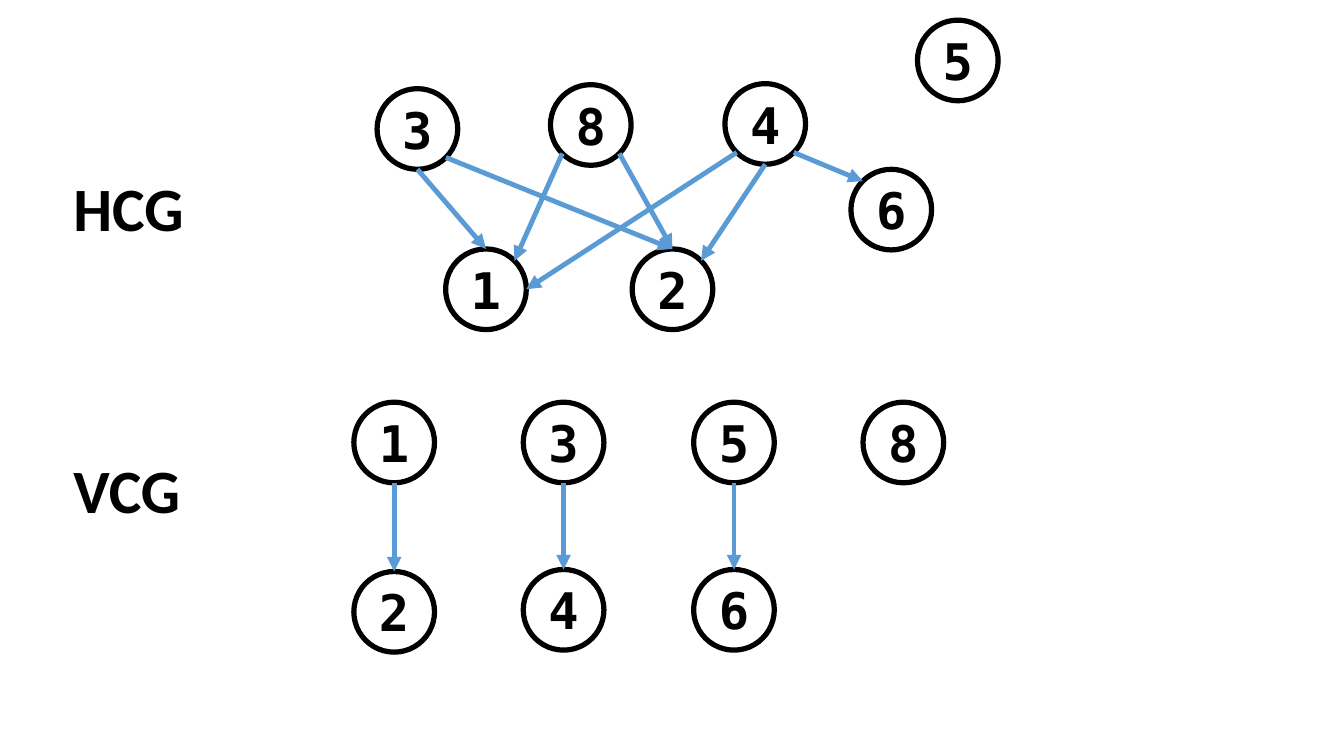
"""Build a slide with a horizontal and a vertical constraint graph."""
from math import cos, radians, sin

from lxml.etree import SubElement
from pptx import Presentation
from pptx.dml.color import RGBColor
from pptx.enum.shapes import MSO_CONNECTOR, MSO_SHAPE
from pptx.enum.text import MSO_ANCHOR, MSO_AUTO_SIZE, PP_ALIGN
from pptx.oxml.ns import qn
from pptx.util import Inches, Pt

COLORS = {"ink": "000000", "arrow": "5B9BD5"}
DIAMETER = 0.8
ANGLES = {"right": 0, "bottom_right": 45, "bottom": 90, "bottom_left": 135,
          "left": 180, "top_left": 225, "top": 270, "top_right": 315}

HCG_NODES = {"3": (3.74, 0.88), "1": (4.42, 2.47), "2": (6.27, 2.47),
             "8": (5.46, 0.84), "4": (7.19, 0.83), "6": (8.44, 1.68),
             "5": (9.1, 0.2)}
HCG_EDGES = [("3", "bottom", "1", "top"),
             ("3", "bottom_right", "2", "top"),
             ("8", "bottom_left", "1", "top_right"),
             ("8", "bottom_right", "2", "top"),
             ("4", "bottom_right", "6", "top_left"),
             ("4", "bottom", "2", "top_right"),
             ("4", "bottom_left", "1", "right")]

VCG_COLUMNS = [3.51, 5.19, 6.88, 8.56]
VCG_NODES = {name: (x, 3.99) for name, x in zip("1358", VCG_COLUMNS)}
VCG_NODES |= {name: (x, y) for name, x, y
              in zip("246", VCG_COLUMNS, (5.67, 5.65, 5.65))}
VCG_EDGES = [(a, "bottom", b, "top") for a, b in ("12", "34", "56")]


def color(name):
    return RGBColor.from_string(COLORS[name])


def write(tf, text, size, font, align=PP_ALIGN.LEFT):
    p = tf.paragraphs[0]
    p.alignment = align
    r = p.add_run()
    r.text = text
    r.font.size = Pt(size)
    r.font.name = font
    r.font.bold = True
    r.font.color.rgb = color("ink")


def rim(corner, side):
    angle = radians(ANGLES[side])
    radius = DIAMETER / 2
    x, y = corner
    return (Inches(x + radius + radius * cos(angle)),
            Inches(y + radius + radius * sin(angle)))


class GraphSlide:
    def __init__(self, s):
        self.s = s
        self.label_font = "Calibri"
        self.node_font = "DejaVu Sans Mono"

    def label(self, shapes, text, top):
        sp = shapes.add_textbox(Inches(0.63), Inches(top), Inches(3.46), Inches(0.84))
        tf = sp.text_frame
        tf.word_wrap = True
        tf.auto_size = MSO_AUTO_SIZE.SHAPE_TO_FIT_TEXT
        write(tf, text, 44, self.label_font)

    def node(self, shapes, text, corner):
        x, y = corner
        sp = shapes.add_shape(MSO_SHAPE.OVAL, Inches(x), Inches(y),
                              Inches(DIAMETER), Inches(DIAMETER))
        sp.shadow.inherit = False
        sp.fill.background()
        sp.line.color.rgb = color("ink")
        sp.line.width = Pt(3.75)
        tf = sp.text_frame
        tf.vertical_anchor = MSO_ANCHOR.MIDDLE
        write(tf, text, 36, self.node_font, align=PP_ALIGN.CENTER)

    def arrow(self, shapes, start, end):
        c = shapes.add_connector(MSO_CONNECTOR.STRAIGHT, *start, *end)
        c.line.color.rgb = color("arrow")
        c.line.width = Pt(3.5)
        SubElement(c.line._get_or_add_ln(), qn("a:tailEnd"), type="triangle")
        SubElement(c._element.spPr, qn("a:effectLst"))

    def graph(self, title, top, nodes, edges):
        shapes = self.s.shapes.add_group_shape().shapes
        self.label(shapes, title, top)
        for name, corner in nodes.items():
            self.node(shapes, name, corner)
        for a, a_side, b, b_side in edges:
            self.arrow(shapes, rim(nodes[a], a_side), rim(nodes[b], b_side))


def main():
    prs = Presentation()
    prs.slide_width = Inches(13.33)
    prs.slide_height = Inches(7.5)
    slide = GraphSlide(prs.slides.add_slide(prs.slide_layouts[6]))
    slide.graph("HCG", 1.64, HCG_NODES, HCG_EDGES)
    slide.graph("VCG", 4.43, VCG_NODES, VCG_EDGES)
    prs.save("out.pptx")


if __name__ == "__main__":
    main()
